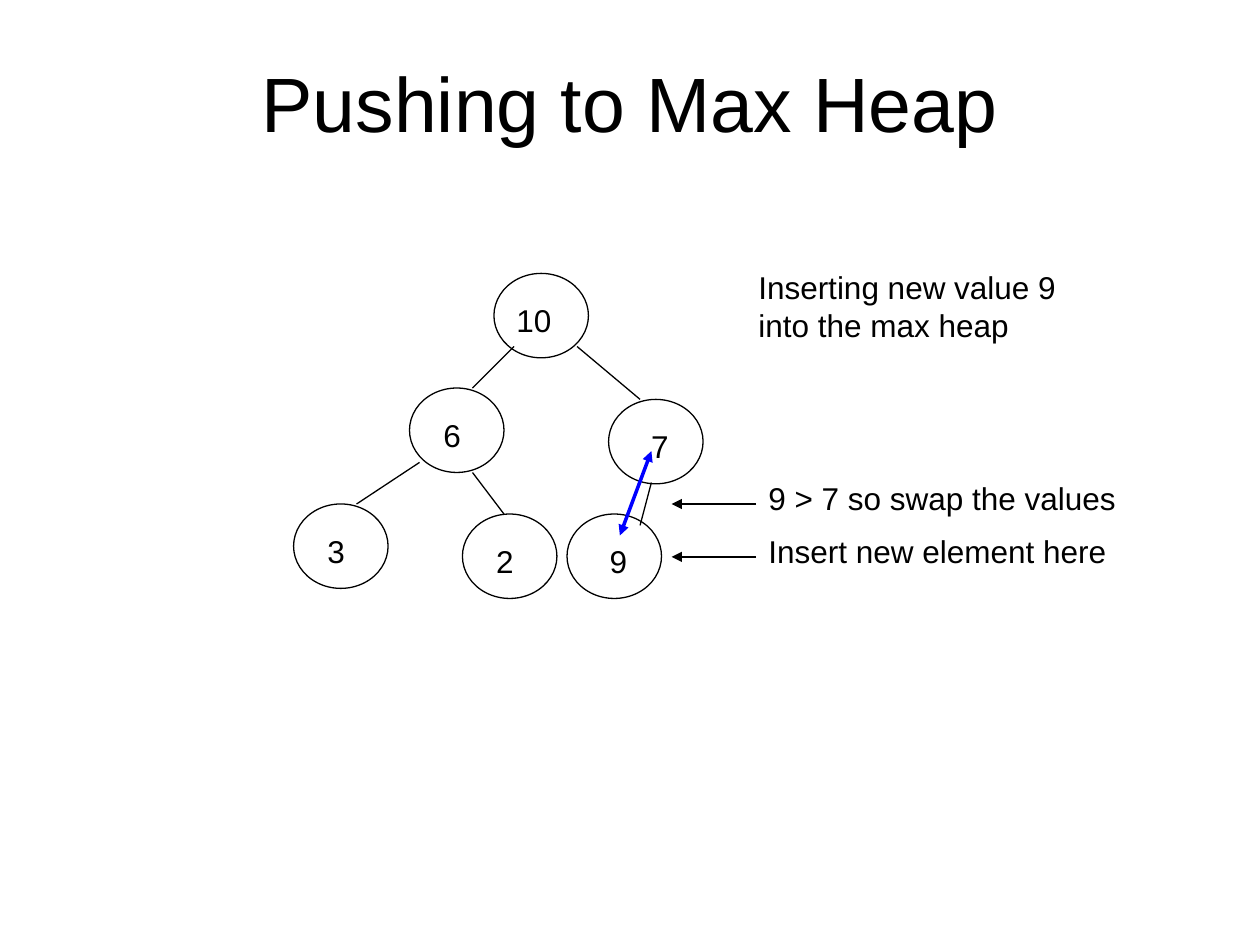
from dataclasses import dataclass

from lxml.etree import SubElement
from pptx import Presentation
from pptx.dml.color import RGBColor
from pptx.enum.shapes import MSO_CONNECTOR, MSO_SHAPE
from pptx.enum.text import MSO_ANCHOR, MSO_AUTO_SIZE, PP_ALIGN
from pptx.oxml.ns import qn
from pptx.slide import Slide
from pptx.util import Inches, Pt


def color(hex_value):
    return RGBColor.from_string(hex_value)


@dataclass
class HeapSlide:
    """Draws the parts of a heap diagram in one style on the current slide."""

    slide: Slide
    font: str = "Arial"
    ink: str = "000000"
    swap_ink: str = "0000FF"
    text_size: float = 18
    title_size: float = 44
    node_width: float = 0.75
    node_height: float = 0.67

    def style(self, paragraph, size):
        paragraph.font.name = self.font
        paragraph.font.size = Pt(size)
        paragraph.font.color.rgb = color(self.ink)

    def title(self, words):
        heading = self.slide.shapes.title
        heading.left, heading.top = Inches(0), Inches(0)
        heading.width, heading.height = Inches(10), Inches(1.61)
        heading.text_frame.text = words
        heading.text_frame.vertical_anchor = MSO_ANCHOR.MIDDLE
        paragraph = heading.text_frame.paragraphs[0]
        paragraph.alignment = PP_ALIGN.CENTER
        self.style(paragraph, self.title_size)

    def label(self, words, left, top, width, height=0.4):
        box = self.slide.shapes.add_textbox(
            Inches(left), Inches(top), Inches(width), Inches(height)
        )
        frame = box.text_frame
        frame.text = words
        frame.word_wrap = True
        frame.auto_size = MSO_AUTO_SIZE.SHAPE_TO_FIT_TEXT
        paragraph = frame.paragraphs[0]
        paragraph.space_before = Pt(11.2)
        self.style(paragraph, self.text_size)

    def node(self, value, left, top, indent=0.17):
        self.label(value, left + indent, top + 0.17, 0.5)
        circle = self.slide.shapes.add_shape(
            MSO_SHAPE.OVAL,
            Inches(left),
            Inches(top),
            Inches(self.node_width),
            Inches(self.node_height),
        )
        circle.shadow.inherit = False
        circle.fill.background()
        circle.line.color.rgb = color(self.ink)
        circle.line.width = Pt(0.75)

    def line(self, start, end, ink=None, width=0.75, arrows=()):
        connector = self.slide.shapes.add_connector(
            MSO_CONNECTOR.STRAIGHT, *(Inches(n) for n in (*start, *end))
        )
        connector.line.color.rgb = color(ink or self.ink)
        connector.line.width = Pt(width)
        properties = connector.line._get_or_add_ln()
        for arrow in arrows:
            SubElement(properties, qn(f"a:{arrow}"), type="triangle")
        SubElement(connector._element.spPr, qn("a:effectLst"))

    def pointer(self, y):
        self.line((6, y), (5.33, y), arrows=["tailEnd"])

    def swap(self, start, end):
        self.line(start, end, self.swap_ink, 2, ["headEnd", "tailEnd"])


def main():
    presentation = Presentation()
    presentation.slide_width, presentation.slide_height = Inches(10), Inches(7.5)
    heap = HeapSlide(presentation.slides.add_slide(presentation.slide_layouts[5]))

    heap.title("Pushing to Max Heap")

    heap.node("10", 3.92, 2.17, indent=0.08)
    for value, left, top in [
        ("6", 3.25, 3.08),
        ("3", 2.33, 4),
        ("2", 3.67, 4.08),
        (" 7", 4.83, 3.17),
        (" 9", 4.5, 4.08),
    ]:
        heap.node(value, left, top)

    for parent, child in [
        ((3.33, 3.67), (2.83, 4)),
        ((3.75, 3.75), (4, 4.08)),
        ((4.08, 2.75), (3.75, 3.08)),
        ((4.58, 2.75), (5.08, 3.17)),
        ((5.17, 3.83), (5.08, 4.17)),
    ]:
        heap.line(parent, child)
    heap.swap((4.92, 4.25), (5.17, 3.58))

    for words, top, pointer_y, width in [
        ("Insert new element here", 4.17, 4.42, 2.92),
        ("9 > 7 so swap the values", 3.75, 4, 3),
    ]:
        heap.pointer(pointer_y)
        heap.label(words, 6, top, width)
    heap.label("Inserting new value 9 into the max heap", 5.92, 2.08, 3, 0.7)

    presentation.save("out.pptx")


if __name__ == "__main__":
    main()
